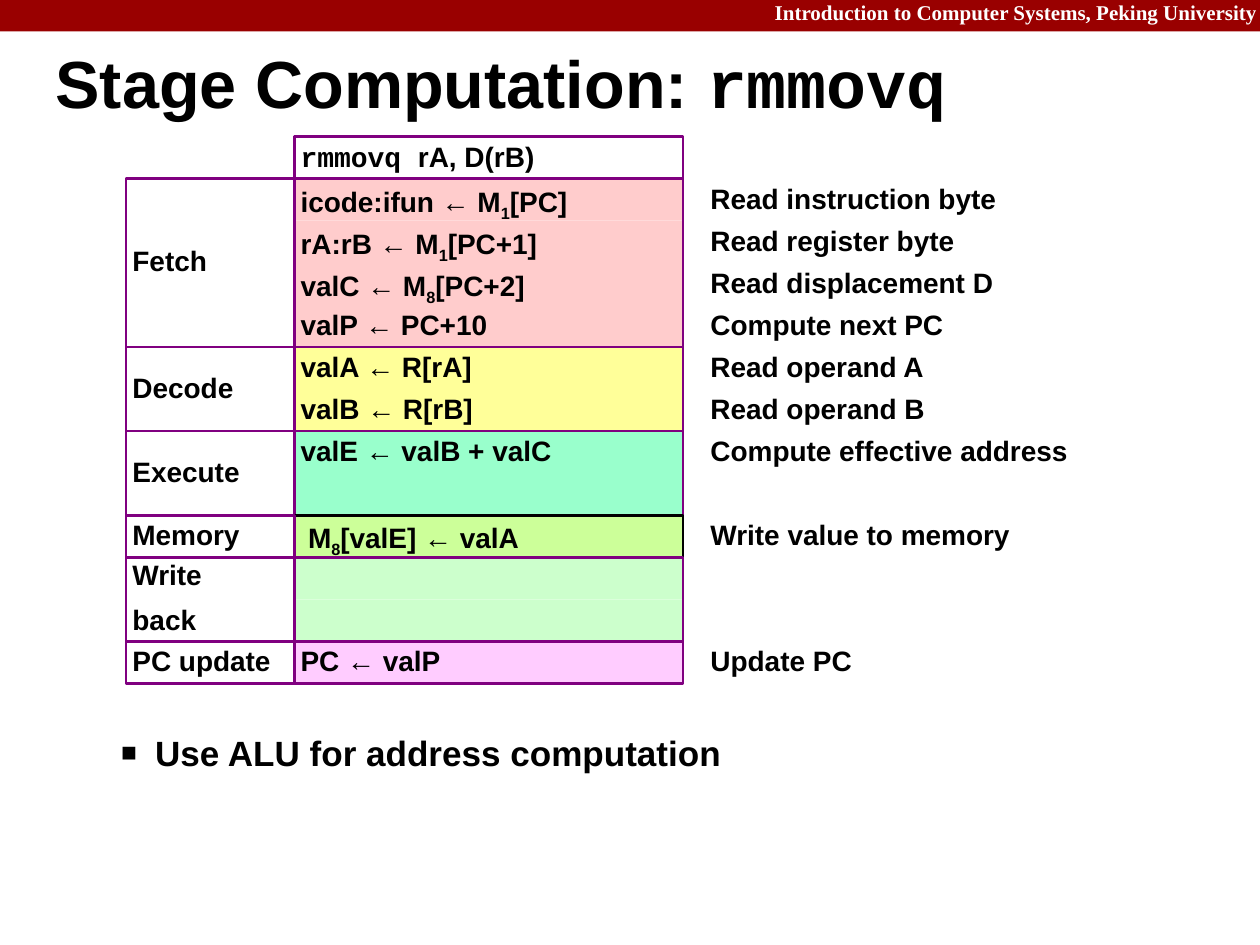
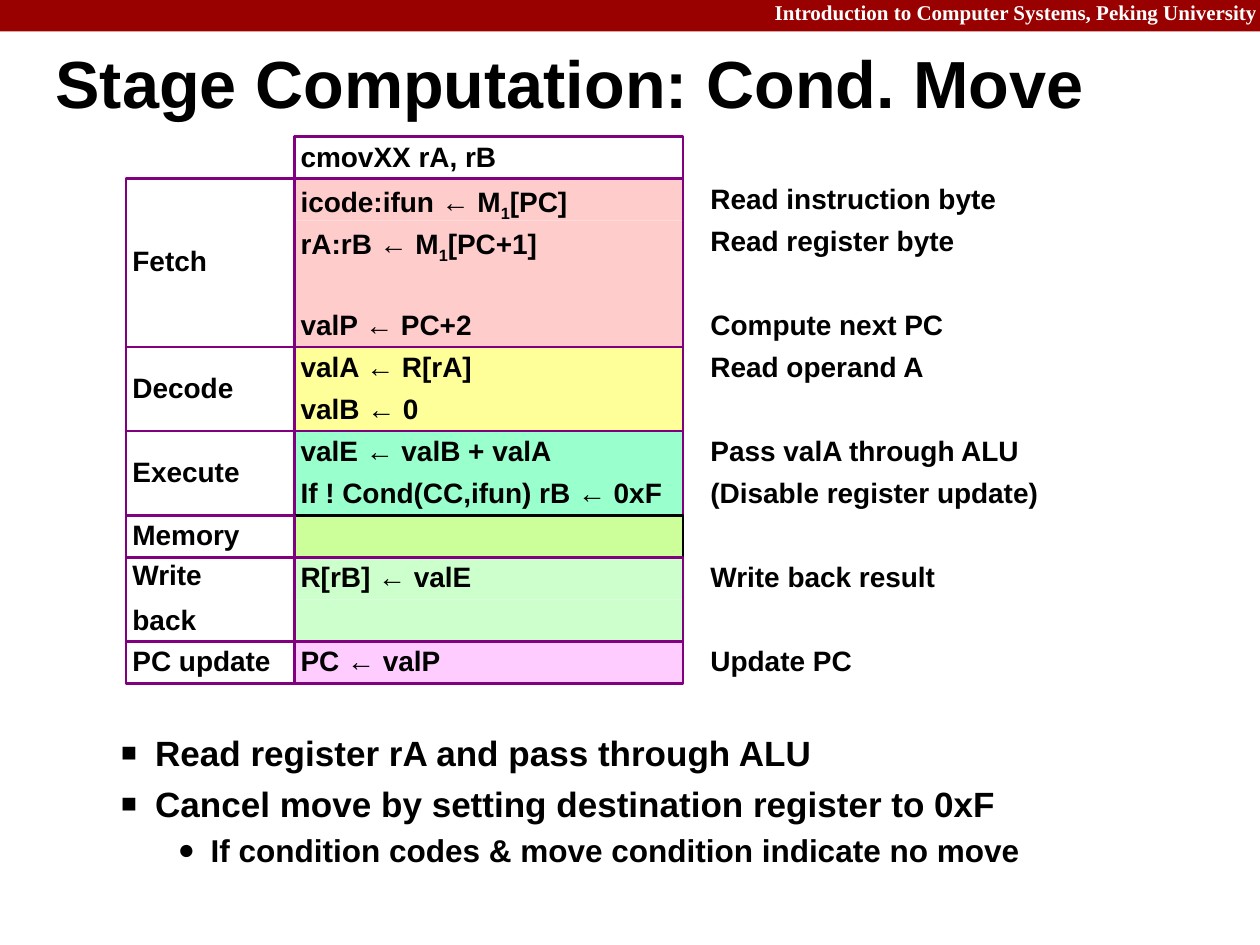
from dataclasses import dataclass

from lxml import etree
from pptx import Presentation
from pptx.dml.color import RGBColor
from pptx.enum.shapes import MSO_SHAPE
from pptx.enum.text import MSO_ANCHOR, MSO_AUTO_SIZE, PP_ALIGN
from pptx.oxml.ns import qn
from pptx.util import Inches, Pt

RECTANGLE = MSO_SHAPE.RECTANGLE
TOP, MIDDLE = MSO_ANCHOR.TOP, MSO_ANCHOR.MIDDLE
LEFT, RIGHT = PP_ALIGN.LEFT, PP_ALIGN.RIGHT
FIXED_SIZE = MSO_AUTO_SIZE.NONE


@dataclass(frozen=True)
class Theme:
    sans: str = "Arial"
    code: str = "Courier New"
    serif: str = "Times New Roman"
    black: str = "000000"
    white: str = "FFFFFF"
    band: str = "990000"
    rule: str = "800080"
    title_size: int = 38
    cell_size: int = 16
    band_size: int = 12
    rule_width: float = 1.5
    cell_inset: float = 0.05


THEME = Theme()
SLIDE_SIZE = (9.99, 7.49)
BAND_TEXT = "Introduction to Computer Systems, Peking University"
BODY_INSETS = (0.1, 0.05, 0.1, 0.05)

# Grid: one unit is the height of a table row, in inches.
UNIT = 1 / 3
HEADER_ROW = 3.25
LABEL_COLUMN = (3, 4)  # left, width in units
STEP_COLUMN = (7, 9.25)
NOTE_COLUMN = (16.75, 9.25)

# Stage label, fill, outline, indent of the steps
STAGES = [
    ("Fetch", "FFCCCC", THEME.rule, 0),
    ("Decode", "FFFF99", THEME.rule, 0),
    ("Execute", "99FFCC", THEME.rule, 0),
    ("Memory", "CCFF99", THEME.black, 0.06),
    ("Write\nback", "CCFFCC", THEME.rule, 0),
    ("PC update", "FFCCFF", THEME.rule, 0),
]

# Bullet, bullet size %, left margin, hanging indent, size, line spacing, space before
BULLET_LEVELS = {
    1: ("■", 75, 0.81, 0.27, 20, 1.0, 5),
    2: ("●", 90, 1.25, 0.26, 18, 1.07, 2),
}

# Markup: `code` is monospaced, _ makes the next character a subscript.
# Each stage lists its rows as (step, note).
SLIDES = [
    {
        "title": "Stage Computation: `rmmovq`",
        "instruction": "`rmmovq `rA, D(rB)",
        "stages": [
            [
                ("icode:ifun ← M_1[PC]", "Read instruction byte"),
                ("rA:rB ← M_1[PC+1]", "Read register byte"),
                ("valC ← M_8[PC+2]", "Read displacement D"),
                ("valP ← PC+10", "Compute next PC"),
            ],
            [("valA ← R[rA]", "Read operand A"), ("valB ← R[rB]", "Read operand B")],
            [("valE ← valB + valC", "Compute effective address"), ("", "")],
            [("M_8[valE] ← valA", "Write value to memory")],
            [("", ""), ("", "")],
            [("PC ← valP", "Update PC")],
        ],
        "bullets": [(1, "Use ALU for address computation")],
    },
    {
        "title": "Stage Computation: Cond. Move",
        "instruction": "cmovXX rA, rB",
        "stages": [
            [
                ("icode:ifun ← M_1[PC]", "Read instruction byte"),
                ("rA:rB ← M_1[PC+1]", "Read register byte"),
                ("", ""),
                ("valP ← PC+2", "Compute next PC"),
            ],
            [("valA ← R[rA]", "Read operand A"), ("valB ← 0", "")],
            [
                ("valE ← valB + valA", "Pass valA through ALU"),
                ("If ! Cond(CC,ifun) rB ← 0xF", "(Disable register update)"),
            ],
            [("", "")],
            [("R[rB] ← valE", "Write back result"), ("", "")],
            [("PC ← valP", "Update PC")],
        ],
        "bullets": [
            (1, "Read register rA and pass through ALU"),
            (1, "Cancel move by setting destination register to 0xF"),
            (2, "If condition codes & move condition indicate no move"),
        ],
    },
]


def place(box, left, top, width, height):
    box.left, box.top = Inches(left), Inches(top)
    box.width, box.height = Inches(width), Inches(height)


def set_frame(frame, anchor, insets):
    frame.word_wrap = True
    frame.auto_size = FIXED_SIZE
    frame.vertical_anchor = anchor
    (frame.margin_left, frame.margin_top,
     frame.margin_right, frame.margin_bottom) = map(Inches, insets)


def paragraph_at(frame, index):
    return frame.add_paragraph() if index else frame.paragraphs[0]


def add_span(para, text):
    span = para.add_run()
    span.text = text
    return span


def write(para, text, size, spacing, before=0, align=LEFT, font=THEME.sans, color=THEME.black):
    """Fill a paragraph, reading the code and subscript markup."""
    para.alignment = align
    para.line_spacing = spacing
    para.space_before = Pt(before)
    para.font.name = font
    para.font.size = Pt(size)
    para.font.bold = True
    para.font.color.rgb = RGBColor.from_string(color)
    for index, piece in enumerate(text.split("`")):
        if index % 2:
            add_span(para, piece).font.name = THEME.code
            continue
        plain, *marked = piece.split("_")
        if plain:
            add_span(para, plain)
        for part in marked:
            subscript = add_span(para, part[0])
            subscript.font._element.set("baseline", "-25000")
            add_span(para, part[1:])


def add_bullet(para, char, percent, margin, hanging):
    properties = para._p.get_or_add_pPr()
    properties.set("marL", str(Inches(margin)))
    properties.set("indent", str(-Inches(hanging)))
    for tag, name, value in (
        ("a:buSzPct", "val", str(percent * 1000)),
        ("a:buFont", "typeface", THEME.sans),
        ("a:buChar", "char", char),
    ):
        etree.SubElement(properties, qn(tag)).set(name, value)


def add_rectangle(shapes, area, fill=None, line=None):
    box = shapes.add_shape(RECTANGLE, *map(Inches, area))
    box.shadow.inherit = False
    if fill:
        box.fill.solid()
        box.fill.fore_color.rgb = RGBColor.from_string(fill)
    else:
        box.fill.background()
    if line:
        box.line.color.rgb = RGBColor.from_string(line)
        box.line.width = Pt(THEME.rule_width)
    else:
        box.line.fill.background()
    return box


def write_cell(box, text, anchor=TOP, indent=0):
    inset = THEME.cell_inset
    set_frame(box.text_frame, anchor, (inset + indent, inset, inset, inset))
    for index, line in enumerate(text.split("\n")):
        para = paragraph_at(box.text_frame, index)
        write(para, line, THEME.cell_size, 0.9, before=8.5 if index else 0)


def cell_area(column, row, rows=1):
    left, width = column
    return left * UNIT, row * UNIT, width * UNIT, rows * UNIT


def add_stage(page, stage, rows, first_row):
    """Draw one stage: its steps, outline, label and notes."""
    label, fill, line, indent = stage
    shapes = page.shapes.add_group_shape().shapes
    single = len(rows) == 1
    for offset, (step, note) in enumerate(rows):
        row = first_row + offset
        box = add_rectangle(shapes, cell_area(STEP_COLUMN, row), fill, line if single else None)
        if step:
            write_cell(box, step, indent=indent)
        if note:
            note_box = shapes.add_textbox(*map(Inches, cell_area(NOTE_COLUMN, row)))
            write_cell(note_box, note)
    if not single:
        add_rectangle(shapes, cell_area(STEP_COLUMN, first_row, len(rows)), line=line)
    label_area = cell_area(LABEL_COLUMN, first_row, len(rows))
    write_cell(add_rectangle(shapes, label_area, line=THEME.rule), label, MIDDLE)


def add_master_band(deck, page):
    """Draw the top band and move it to the slide master."""
    band = add_rectangle(page.shapes, (0, 0, SLIDE_SIZE[0], 0.25), THEME.band)
    course = page.shapes.add_textbox(*map(Inches, (5.99, 0, 4.07, 0.25)))
    place(course, 5.92, -0.03, 4.07, 0.28)
    set_frame(course.text_frame, TOP, (0.1, 0.05, 0.02, 0.05))
    write(course.text_frame.paragraphs[0], BAND_TEXT, THEME.band_size, 0.9,
          align=RIGHT, font=THEME.serif, color=THEME.white)
    for number, box in enumerate((band, course), 101):
        box.element.nvSpPr.cNvPr.set("id", str(number))
        deck.slide_master.shapes.element.append(box.element)


def fill_page(page, content):
    title, body = page.placeholders
    place(title, 0.44, 0.27, 9.52, 0.85)
    set_frame(title.text_frame, MIDDLE, (0, 0, 0, 0))
    write(title.text_frame.paragraphs[0], content["title"], THEME.title_size, 0.87)

    place(body, 0.32, 5.75, 9.07, 1.28)
    set_frame(body.text_frame, TOP, BODY_INSETS)
    for index, (level, text) in enumerate(content["bullets"]):
        para = paragraph_at(body.text_frame, index)
        char, percent, margin, hanging, size, spacing, before = BULLET_LEVELS[level]
        para.level = level
        add_bullet(para, char, percent, margin, hanging)
        write(para, text, size, spacing, before if index else 0)

    header = add_rectangle(page.shapes, cell_area(STEP_COLUMN, HEADER_ROW), line=THEME.rule)
    write_cell(header, content["instruction"])
    row = HEADER_ROW + 1
    for stage, rows in zip(STAGES, content["stages"]):
        add_stage(page, stage, rows, row)
        row += len(rows)


def main():
    deck = Presentation()
    deck.slide_width, deck.slide_height = map(Inches, SLIDE_SIZE)
    for index, content in enumerate(SLIDES):
        page = deck.slides.add_slide(deck.slide_layouts[1])
        if index == 0:
            add_master_band(deck, page)
        fill_page(page, content)
    deck.save("out.pptx")


if __name__ == "__main__":
    main()
